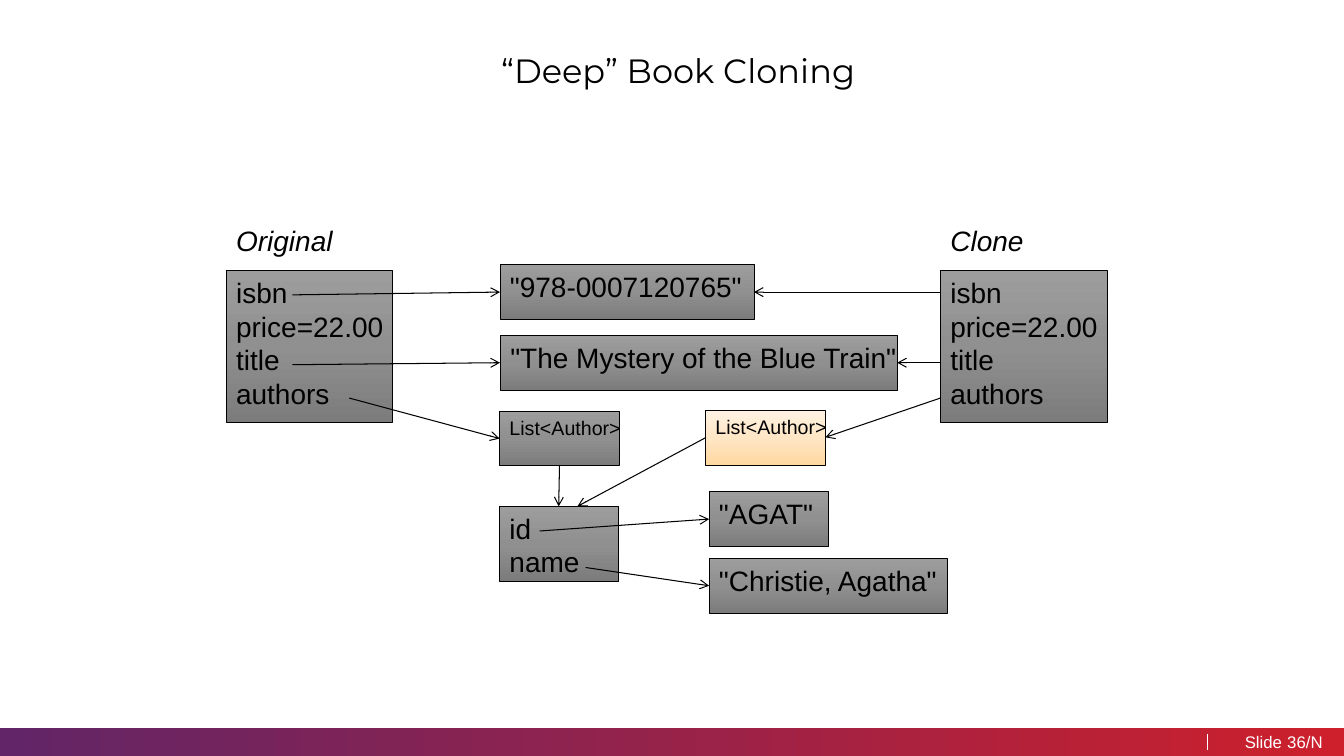
"""Build the slide on deep cloning of a book."""
import copy
from dataclasses import dataclass

import pptx
import pptx.dml.color
import pptx.enum.shapes
import pptx.enum.text
import pptx.oxml
import pptx.oxml.ns
import pptx.shapes.autoshape
import pptx.shapes.connector
import pptx.slide
import pptx.text.text
import pptx.util

Cm = pptx.util.Cm
Pt = pptx.util.Pt
Align = pptx.enum.text.PP_ALIGN
Anchor = pptx.enum.text.MSO_ANCHOR
qn = pptx.oxml.ns.qn

BLACK = "000000"
WHITE = "FFFFFF"
GREY = ("9D9D9D", "909090", "7C7C7C")
PEACH = ("FFF2E3", "FFE6C5", "FFD8A0")
FOOT = ("622567", "CD202C")
FIELDS = "isbn\nprice=22.00\ntitle\nauthors"
BAR_TOP, BAR_HIGH = 18.34, 0.71


@dataclass
class Box:
    text: str
    left: float
    top: float
    width: float
    height: float = 1.38
    size: int = 20
    shades: tuple[str, ...] = GREY


@dataclass
class Label:
    text: str
    left: float
    top: float
    width: float
    height: float
    size: int = 20
    font: str = "Arial"
    ink: str = BLACK
    slant: bool = False
    align: Align = Align.LEFT
    anchor: Anchor = Anchor.TOP
    inset: float = 0
    pitch: float = 1


@dataclass
class Arrow:
    x1: float
    y1: float
    x2: float
    y2: float


BOXES = [
    Box(FIELDS, 5.7, 6.82, 4.2, 3.82),
    Box('"978-0007120765"', 12.6, 6.67, 6.4),
    Box("id\nname", 12.59, 12.76, 3, 1.9),
    Box(FIELDS, 23.7, 6.82, 4.2, 3.82),
    Box('"The Mystery of the Blue Train"', 12.61, 8.45, 10),
    Box('"Christie, Agatha"', 17.87, 14.07, 6),
    Box("List<Author>", 12.59, 10.36, 3.02, size=14),
    Box('"AGAT"', 17.87, 12.39, 3),
    Box("List<Author>", 17.78, 10.34, 3.02, size=14, shades=PEACH),
]

LABELS = [
    Label("Slide", 30.8, BAR_TOP, 1.51, BAR_HIGH, 12, ink=WHITE,
          align=Align.RIGHT, anchor=Anchor.MIDDLE),
    Label("36/N", 32.44, BAR_TOP, 1.42, BAR_HIGH, 12, ink=WHITE,
          anchor=Anchor.MIDDLE),
    Label("“Deep” Book Cloning", 1, 0.84, 32.18, 1.12, 24, "Montserrat",
          align=Align.CENTER, pitch=1.3),
    Label("Original", 5.7, 5.51, 4.2, 1.12, slant=True, inset=0.25),
    Label("Clone", 23.7, 5.51, 4.2, 1.12, slant=True, inset=0.25),
]

ARROWS = [
    Arrow(7.37, 7.43, 12.6, 7.36),
    Arrow(23.7, 7.36, 19, 7.36),
    Arrow(7.37, 9.19, 12.6, 9.14),
    Arrow(23.7, 9.14, 22.61, 9.14),
    Arrow(8.8, 10.03, 12.59, 11.05),
    Arrow(23.7, 10.03, 20.8, 11.02),
    Arrow(14.1, 11.73, 14.08, 12.76),
    Arrow(13.6, 13.38, 17.87, 13.08),
    Arrow(14.76, 14.3, 17.87, 14.76),
    Arrow(17.78, 11.03, 14.55, 12.76),
]


def tint(value: str) -> pptx.dml.color.RGBColor:
    return pptx.dml.color.RGBColor.from_string(value)


def blend(shape: pptx.shapes.autoshape.Shape, shades: tuple[str, ...],
          angle: float) -> None:
    fill = shape.fill
    fill.gradient()
    fill.gradient_angle = angle
    stops = shape.element.spPr.find(f".//{qn('a:gsLst')}")
    while len(stops) < len(shades):
        stops.append(copy.deepcopy(stops[0]))
    for spot, (stop, shade) in enumerate(zip(fill.gradient_stops, shades)):
        stop.color.rgb = tint(shade)
        stop.position = spot / (len(shades) - 1)


def write(frame: pptx.text.text.TextFrame, text: str, size: int, font: str,
          ink: str, slant: bool = False, align: Align = Align.LEFT,
          pitch: float = 1) -> None:
    frame.text = text
    for para in frame.paragraphs:
        para.alignment = align
        para.line_spacing = pitch
        for run in para.runs:
            run.font.size = Pt(size)
            run.font.name = font
            run.font.italic = slant
            run.font.color.rgb = tint(ink)


def add_block(slide: pptx.slide.Slide, left: float, top: float, width: float,
              height: float, shades: tuple[str, ...],
              angle: float) -> pptx.shapes.autoshape.Shape:
    shape = slide.shapes.add_shape(
        pptx.enum.shapes.MSO_SHAPE.RECTANGLE,
        Cm(left), Cm(top), Cm(width), Cm(height))
    shape.shadow.inherit = False
    blend(shape, shades, angle)
    shape.line.fill.background()
    return shape


def add_box(slide: pptx.slide.Slide, box: Box) -> None:
    shape = add_block(slide, box.left, box.top, box.width, box.height,
                      box.shades, 270)
    shape.line.color.rgb = tint(BLACK)
    shape.line.width = Pt(0.5)
    frame = shape.text_frame
    frame.word_wrap = False
    frame.vertical_anchor = Anchor.TOP
    write(frame, box.text, box.size, "Arial", BLACK)


def add_label(slide: pptx.slide.Slide, label: Label) -> None:
    frame = slide.shapes.add_textbox(
        Cm(label.left), Cm(label.top),
        Cm(label.width), Cm(label.height)).text_frame
    frame.word_wrap = True
    frame.vertical_anchor = label.anchor
    frame.margin_left = frame.margin_right = Cm(label.inset)
    write(frame, label.text, label.size, label.font, label.ink, label.slant,
          label.align, label.pitch)


def add_line(slide: pptx.slide.Slide, ends: Arrow, ink: str,
             weight: float) -> pptx.shapes.connector.Connector:
    line = slide.shapes.add_connector(
        pptx.enum.shapes.MSO_CONNECTOR.STRAIGHT,
        Cm(ends.x1), Cm(ends.y1), Cm(ends.x2), Cm(ends.y2))
    line.line.color.rgb = tint(ink)
    line.line.width = Pt(weight)
    line.element.spPr.append(pptx.oxml.parse_xml(
        f"<a:effectLst {pptx.oxml.ns.nsdecls('a')}/>"))
    return line


def add_arrow(slide: pptx.slide.Slide, arrow: Arrow) -> None:
    line = add_line(slide, arrow, BLACK, 0.75)
    line.element.spPr.find(qn("a:ln")).append(pptx.oxml.parse_xml(
        f'<a:tailEnd {pptx.oxml.ns.nsdecls("a")} type="arrow"/>'))


def main() -> None:
    deck = pptx.Presentation()
    deck.slide_width, deck.slide_height = Cm(33.87), Cm(19.05)
    slide = deck.slides.add_slide(deck.slide_layouts[6])
    add_block(slide, 0, BAR_TOP, 33.87, BAR_HIGH, FOOT, 0)
    add_line(slide, Arrow(30.43, 18.49, 30.43, 18.91), WHITE, 1)
    for box in BOXES:
        add_box(slide, box)
    for label in LABELS:
        add_label(slide, label)
    for arrow in ARROWS:
        add_arrow(slide, arrow)
    deck.save("out.pptx")


if __name__ == "__main__":
    main()
